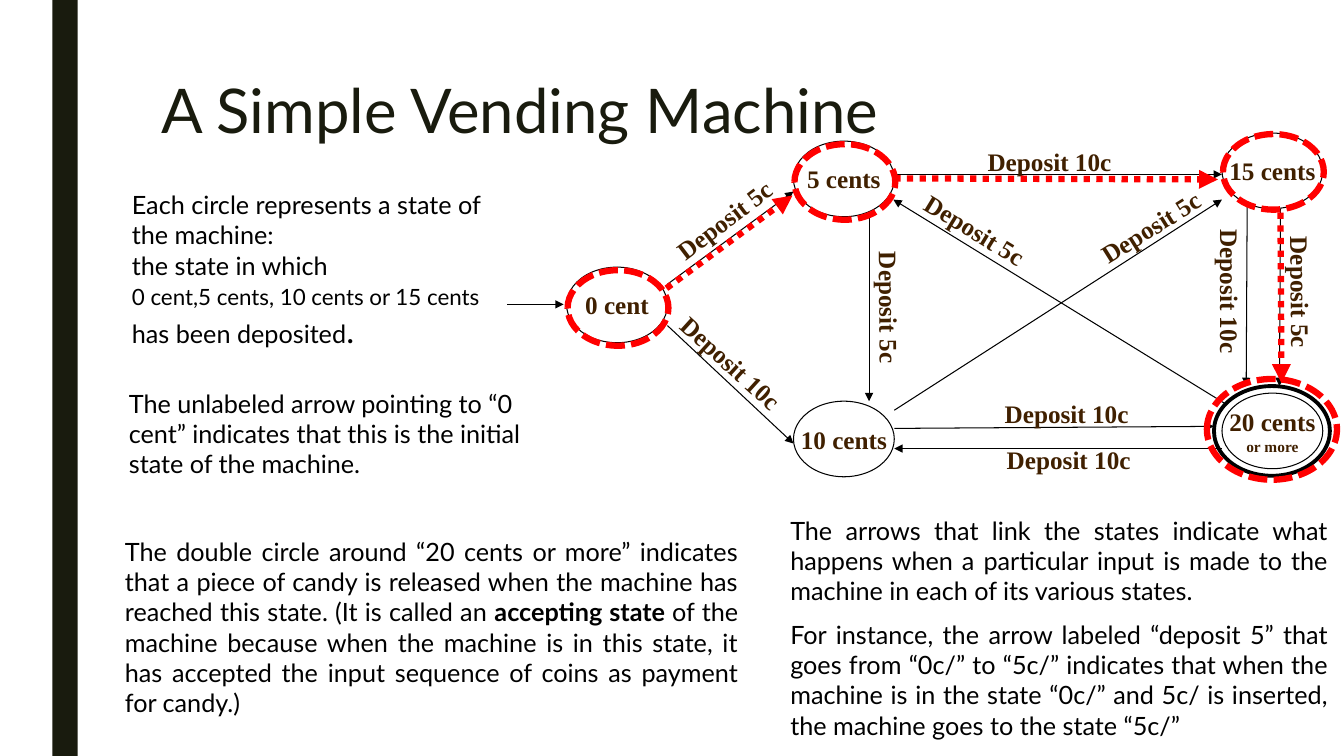
from lxml import etree
from pptx import Presentation
from pptx import util as u
from pptx.dml.color import RGBColor
from pptx.enum import dml, shapes, text
from pptx.oxml.ns import qn

PX = 9144  # 100 px to the inch
INK = RGBColor(0x19, 0x1B, 0x0E)
BLACK = RGBColor(0, 0, 0)
BROWN = RGBColor(0x40, 0x20, 0x00)
RED = RGBColor(0xFF, 0, 0)
WHITE = RGBColor(0xFF, 0xFF, 0xFF)
SANS, SERIF = "Lato", "Times New Roman"
DASH, DOT = dml.MSO_LINE.SQUARE_DOT, dml.MSO_LINE.ROUND_DOT
STATE_W, STATE_H = 100, 75

# Positions inside the diagram: name -> left, top, second line
STATES = {
    "0 cent": (62, 135, ""),
    "5 cents": (287, 10, ""),
    "10 cents": (287, 268, ""),
    "15 cents": (712, 2, ""),
    "20 cents": (712, 260, "or more"),
}
# Arrow from, arrow to, coin, label centre, label angle
MOVES = [
    ((162, 152), (287, 60), "5c", (218, 88), 322.8),
    ((162, 193), (287, 310), "10c", (225, 230), 42.2),
    ((387, 43), (712, 43), "10c", (541, 30), 0),
    ((387, 295), (704, 293), "10c", (558, 280), 0),
    ((362, 85), (362, 268), "5c", (382, 175), 89.5),
    ((387, 277), (712, 68), "5c", (641, 95), 327.9),
    ((770, 77), (769, 253), "5c", (790, 160), 89.4),
    ((737, 74), (736, 253), "10c", (720, 159), 90),
    ((712, 315), (387, 315), "10c", (560, 326), 0),
    ((716, 271), (386, 68), "5c", (467, 98), 31.3),
]
START = ((3, 172), (59, 172))
ACCEPT_RING = (704, 253, 115, 89)
# The highlighted run 0 -> 5 -> 15 -> 20
RUN_RINGS = [
    (63, 138, STATE_W, STATE_H),
    (288, 13, STATE_W, STATE_H),
    (713, 3, STATE_W, STATE_H),
    (697, 246, 129, 100),
]
RUN_ARROWS = [
    ((161, 156), (286, 64)),
    ((387, 47), (708, 48)),
    ((770, 81), (771, 250)),
]


def emu(*lengths):
    return [u.Emu(int(n * PX)) for n in lengths]


def style_font(font, size, name, color, bold=None):
    font.size, font.name, font.bold = u.Pt(size), name, bold
    font.color.rgb = color


def add_text(s, box, wrap=True):
    tf = s.shapes.add_textbox(*emu(*box)).text_frame
    tf.word_wrap = wrap
    return tf


def add_ellipse(s, box, color, width, fill=None, dash=None):
    sp = s.shapes.add_shape(shapes.MSO_SHAPE.OVAL, *emu(*box))
    sp.shadow.inherit = False
    if fill is None:
        sp.fill.background()
    else:
        sp.fill.solid()
        sp.fill.fore_color.rgb = fill
    sp.line.color.rgb = color
    sp.line.width = u.Pt(width)
    if dash:
        sp.line.dash_style = dash
    return sp


def add_arrow(s, origin, start, end, color=BLACK, width=0.75, dash=None):
    x, y = origin
    c = s.shapes.add_connector(
        shapes.MSO_CONNECTOR.STRAIGHT,
        *emu(x + start[0], y + start[1], x + end[0], y + end[1]))
    c.line.color.rgb = color
    c.line.width = u.Pt(width)
    if dash:
        c.line.dash_style = dash
    etree.SubElement(c.line._get_or_add_ln(), qn("a:tailEnd"), type="triangle")
    etree.SubElement(c._element.spPr, qn("a:effectLst"))


def add_state(s, box, name, note):
    sp = add_ellipse(s, box, BLACK, 0.75, None if name == "0 cent" else WHITE)
    tf = sp.text_frame
    tf.word_wrap = False
    tf.vertical_anchor = text.MSO_ANCHOR.MIDDLE
    tf.text = f"{name}\n{note}" if note else name
    for p, size in zip(tf.paragraphs, (18, 11)):
        p.alignment = text.PP_ALIGN.CENTER
        style_font(p.font, size, SERIF, BROWN, True)


def add_label(s, centre, coin, angle):
    w, h = 143 if coin == "10c" else 131, 40
    sp = s.shapes.add_textbox(*emu(centre[0] - w / 2, centre[1] - h / 2, w, h))
    sp.rotation = angle
    sp.text_frame.word_wrap = False
    p = sp.text_frame.paragraphs[0]
    p.text = f"Deposit {coin}"
    p.alignment = text.PP_ALIGN.CENTER
    style_font(p.font, 18, SERIF, BROWN, True)


def add_frame(s, bar, title):
    # Side bar
    sp = s.shapes.add_shape(shapes.MSO_SHAPE.RECTANGLE, *emu(*bar))
    sp.shadow.inherit = False
    sp.fill.solid()
    sp.fill.fore_color.rgb = INK
    sp.line.fill.background()
    # Title
    p = add_text(s, title).paragraphs[0]
    p.text = "A Simple Vending Machine"
    p.line_spacing = 0.89
    style_font(p.font, 44, SANS, INK)


def add_diagram(s, origin):
    x, y = origin
    for name, (left, top, note) in STATES.items():
        add_state(s, (x + left, y + top, STATE_W, STATE_H), name, note)
    for start, end, coin, (cx, cy), angle in MOVES:
        add_arrow(s, origin, start, end)
        add_label(s, (x + cx, y + cy), coin, angle)
    add_arrow(s, origin, *START)
    left, top, w, h = ACCEPT_RING
    add_ellipse(s, (x + left, y + top, w, h), BLACK, 2.75)
    # Highlighted run
    for left, top, w, h in RUN_RINGS:
        add_ellipse(s, (x + left, y + top, w, h), RED, 4.5, dash=DASH)
    for start, end in RUN_ARROWS:
        add_arrow(s, origin, start, end, RED, 4.5, DOT)


def add_note(s, box, paragraphs, justify=False, gap=0):
    """Each paragraph is a list of (text, size, bold) runs."""
    tf = add_text(s, box)
    for i, runs in enumerate(paragraphs):
        p = tf.add_paragraph() if i else tf.paragraphs[0]
        if justify:
            p.alignment = text.PP_ALIGN.JUSTIFY
        if i and gap:
            p.space_before = u.Pt(gap)
        for words, size, bold in runs:
            r = p.add_run()
            r.text = words
            style_font(r.font, size, SANS, BLACK, bold)


def add_notes_text(s):
    add_note(s, (121, 183, 383, 246), [
        [("Each circle represents a state of the machine:", 18, False)],
        [("the state in which", 18, False)],
        [("0 cent,5 cents, 10 cents or 15 cents", 16, False),
         (" has been deposited", 18, False), (".", 24, False)],
    ])
    add_note(s, (118, 380, 451, 101), [
        [("The unlabeled arrow pointing to “0 cent” indicates that this is "
          "the initial state of the machine.", 18, False)],
    ])
    add_note(s, (114, 527, 628, 222), [
        [("The double circle around “20 cents or more” indicates that a piece "
          "of candy is released when the machine has reached this state. "
          "(It is called an ", 18, False),
         ("accepting state ", 18, True),
         ("of the machine because when the machine is in this state, it has "
          "accepted the input sequence of coins as payment for candy.)",
          18, False)],
    ], justify=True)
    add_note(s, (774, 506, 553, 242), [
        [("The arrows that link the states indicate what happens when a "
          "particular input is made to the machine in each of its various "
          "states.", 18, False)],
        [("For instance, the arrow labeled “deposit 5” that goes from “0c/” "
          "to “5c/” indicates that when the machine is in the state “0c/” "
          "and 5c/ is inserted, the machine goes to the state “5c/”",
          18, False)],
    ], justify=True, gap=9.6)


def main():
    prs = Presentation()
    prs.slide_width, prs.slide_height = emu(1333, 750)
    s = prs.slides.add_slide(prs.slide_layouts[6])
    add_frame(s, bar=(52, 0, 25, 750), title=(150, 75, 1050, 162))
    add_diagram(s, (500, 130))
    add_notes_text(s)
    prs.save("out.pptx")


if __name__ == "__main__":
    main()
